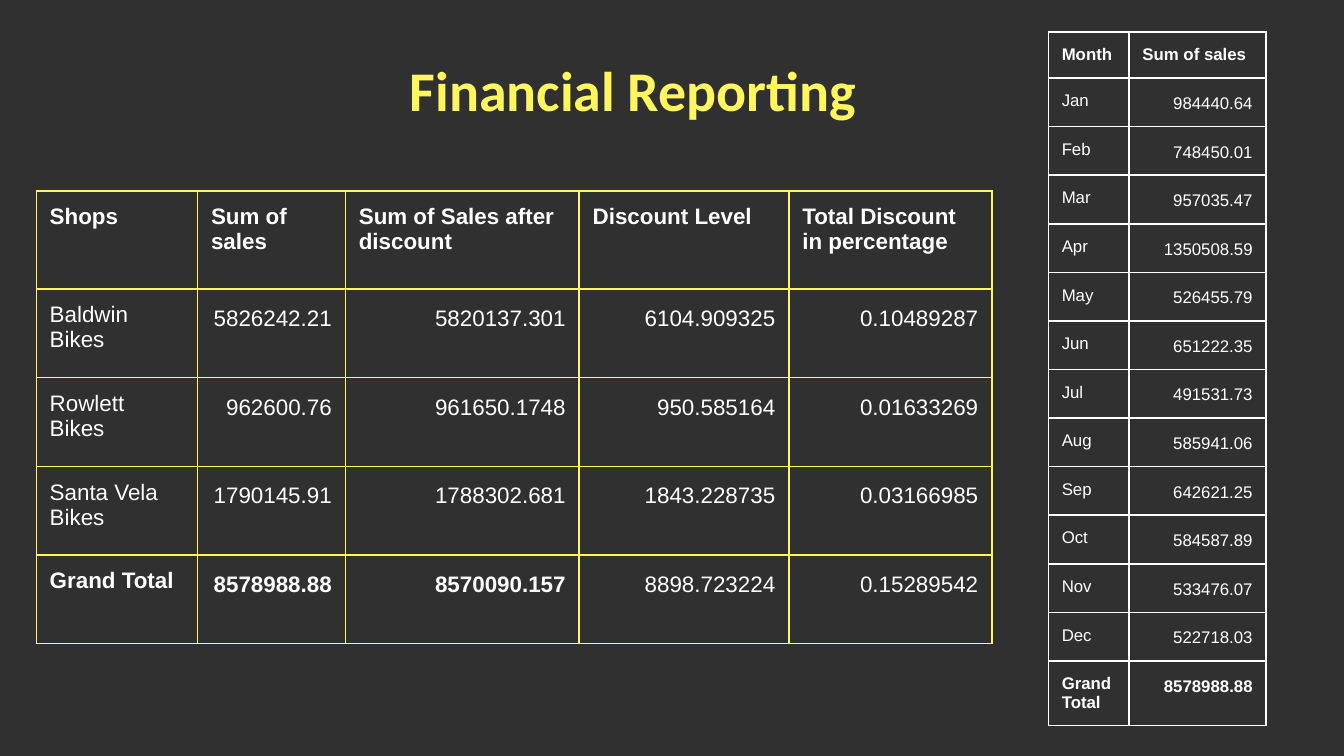
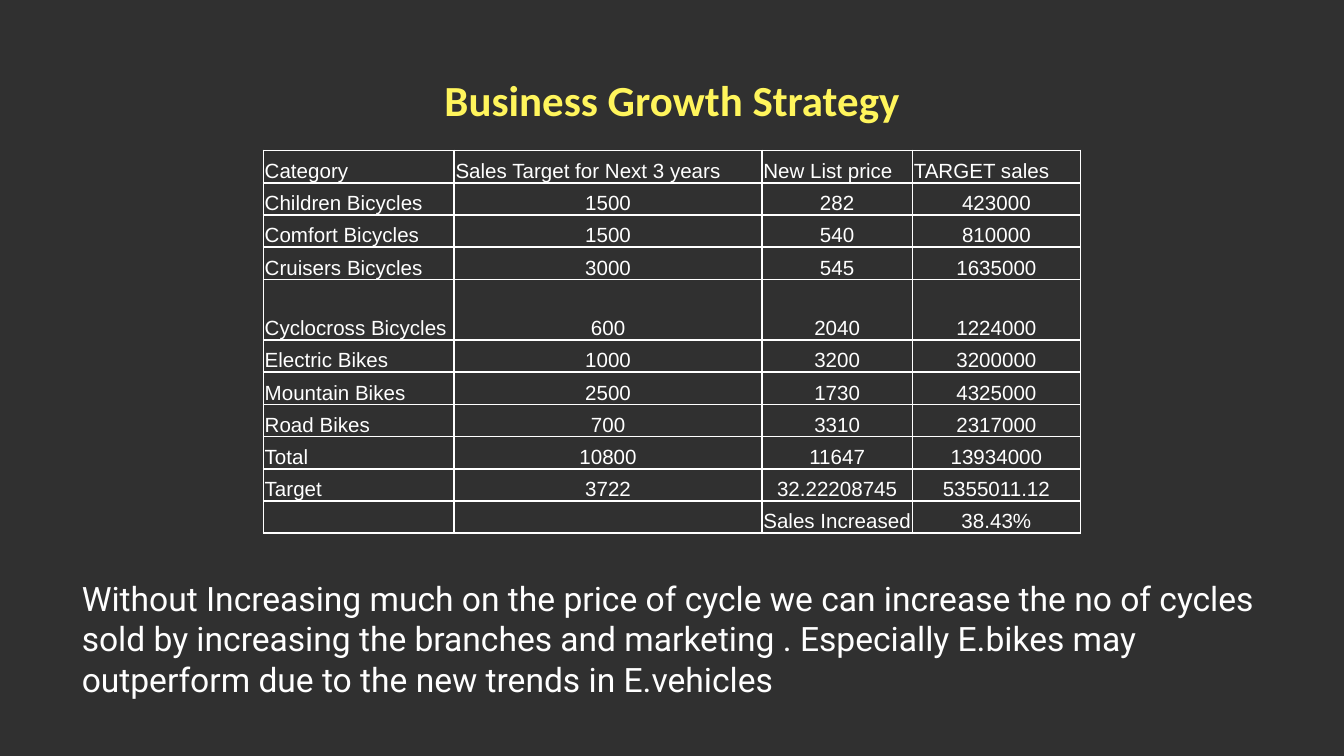
from lxml.etree import SubElement
from pptx import Presentation
from pptx.dml.color import RGBColor
from pptx.enum.text import MSO_ANCHOR, MSO_AUTO_SIZE, PP_ALIGN
from pptx.oxml.ns import qn
from pptx.util import Inches, Pt

CHARCOAL = RGBColor(0x30, 0x30, 0x30)
YELLOW = RGBColor(0xFF, 0xF5, 0x5C)
WHITE = RGBColor(0xFF, 0xFF, 0xFF)

SHOP_SALES = [
    ("Shops", "Sum of sales", "Sum of Sales after discount", "Discount Level",
     "Total Discount in percentage"),
    ("Baldwin Bikes", "5826242.21", "5820137.301", "6104.909325", "0.10489287"),
    ("Rowlett Bikes", "962600.76", "961650.1748", "950.585164", "0.01633269"),
    ("Santa Vela Bikes", "1790145.91", "1788302.681", "1843.228735", "0.03166985"),
    ("Grand Total", "8578988.88", "8570090.157", "8898.723224", "0.15289542"),
]
MONTHLY_SALES = [
    ("Month", "Sum of sales"),
    ("Jan", "984440.64"),
    ("Feb", "748450.01"),
    ("Mar", "957035.47"),
    ("Apr", "1350508.59"),
    ("May", "526455.79"),
    ("Jun", "651222.35"),
    ("Jul", "491531.73"),
    ("Aug", "585941.06"),
    ("Sep", "642621.25"),
    ("Oct", "584587.89"),
    ("Nov", "533476.07"),
    ("Dec", "522718.03"),
    ("Grand Total", "8578988.88"),
]
GROWTH_TARGETS = [
    ("Category", "Sales Target for Next 3 years", "New List price", "TARGET sales"),
    ("Children Bicycles", "1500", "282", "423000"),
    ("Comfort Bicycles", "1500", "540", "810000"),
    ("Cruisers Bicycles", "3000", "545", "1635000"),
    ("Cyclocross Bicycles", "600", "2040", "1224000"),
    ("Electric Bikes", "1000", "3200", "3200000"),
    ("Mountain Bikes", "2500", "1730", "4325000"),
    ("Road Bikes", "700", "3310", "2317000"),
    ("Total", "10800", "11647", "13934000"),
    ("Target", "3722", "32.22208745", "5355011.12"),
    ("", "", "Sales Increased", "38.43%"),
]
OUTLOOK = (
    "Without Increasing much on the price of cycle we can increase the no of cycles "
    "sold by increasing the branches and marketing . Especially E.bikes may "
    "outperform due to the new trends in E.vehicles"
)

SALES_STYLE = dict(align=PP_ALIGN.RIGHT, spacing=1.15, anchor=MSO_ANCHOR.TOP,
                   margins=(0.1, 0.1, 0.1, 0.1))
TARGET_STYLE = dict(align=PP_ALIGN.CENTER, spacing=1, anchor=MSO_ANCHOR.BOTTOM,
                    margins=(0.01, 0.01, 0.01, 0), fill=CHARCOAL)


def format_text(paragraph, font, size, color, bold=False):
    for run in paragraph.runs:
        run.font.name = font
        run.font.size = Pt(size)
        run.font.bold = bold
        run.font.color.rgb = color


def set_margins(target, margins):
    (target.margin_left, target.margin_top,
     target.margin_right, target.margin_bottom) = map(Inches, margins)


def add_titled_slide(prs, heading, box, size, spacing=1):
    slide = prs.slides.add_slide(prs.slide_layouts[5])
    title = slide.shapes.title
    title.left, title.top, title.width, title.height = map(Inches, box)
    frame = title.text_frame
    frame.text = heading
    frame.auto_size = MSO_AUTO_SIZE.NONE
    frame.word_wrap = True
    frame.vertical_anchor = MSO_ANCHOR.TOP
    set_margins(frame, (0.1, 0.1, 0.1, 0.1))
    paragraph = frame.paragraphs[0]
    paragraph.alignment = PP_ALIGN.CENTER
    paragraph.line_spacing = spacing
    format_text(paragraph, "Calibri", size, YELLOW, True)
    return slide


def draw_borders(cell, color):
    properties = cell._tc.get_or_add_tcPr()
    for side in ("a:lnL", "a:lnR", "a:lnT", "a:lnB"):
        line = SubElement(properties, qn(side), w=str(Pt(1)))
        solid = SubElement(line, qn("a:solidFill"))
        SubElement(solid, qn("a:srgbClr"), val=str(color))


def add_grid(slide, rows, left, top, widths, heights, size, border,
             align, spacing, anchor, margins, fill=None, bold_cells=()):
    table = slide.shapes.add_table(
        len(rows), len(widths), Inches(left), Inches(top),
        Inches(sum(widths)), Inches(sum(heights))).table
    table.first_row = table.horz_banding = False
    for column, width in zip(table.columns, widths):
        column.width = Inches(width)
    for row, height in zip(table.rows, heights):
        row.height = Inches(height)
    for r, values in enumerate(rows):
        for c, value in enumerate(values):
            cell = table.cell(r, c)
            cell.text = value
            cell.vertical_anchor = anchor
            set_margins(cell, margins)
            draw_borders(cell, border)
            if fill is None:
                cell.fill.background()
            else:
                cell.fill.solid()
                cell.fill.fore_color.rgb = fill
            paragraph = cell.text_frame.paragraphs[0]
            if r and c:
                paragraph.alignment = align
                paragraph.line_spacing = spacing
            format_text(paragraph, "Arial", size, WHITE, (r, c) in bold_cells)
            if not value:
                SubElement(paragraph._p, qn("a:endParaRPr"), sz=str(size * 100))


def bold_ends(rows, total_cells):
    header = {(0, c) for c in range(len(rows[0]))}
    return header | {(len(rows) - 1, c) for c in range(total_cells)}


def build_reporting(prs):
    slide = add_titled_slide(prs, "Financial Reporting", (2.04, 0.31, 5.34, 0.83), 30)
    add_grid(slide, SHOP_SALES, 0.27, 1.42, [1.2, 1.1, 1.74, 1.56, 1.51],
             [0.73] + [0.66] * 4, 12, YELLOW,
             bold_cells=bold_ends(SHOP_SALES, 3), **SALES_STYLE)
    add_grid(slide, MONTHLY_SALES, 7.8, 0.24, [0.6, 1.02],
             [0.33] + [0.34] * 12 + [0.47], 9, WHITE,
             bold_cells=bold_ends(MONTHLY_SALES, 2), **SALES_STYLE)


def build_strategy(prs):
    slide = add_titled_slide(prs, "Business Growth Strategy ",
                             (1.86, 0.39, 6.36, 0.83), 23, 1.15)
    outlook = slide.shapes.add_textbox(*map(Inches, (0.51, 4.2, 9.12, 1.03))).text_frame
    outlook.word_wrap = True
    set_margins(outlook, (0.1, 0.1, 0.1, 0.1))
    outlook.text = OUTLOOK
    format_text(outlook.paragraphs[0], "Roboto", 18, WHITE)
    heights = [0.45 if row[0] == "Cyclocross Bicycles" else 0.24 for row in GROWTH_TARGETS]
    add_grid(slide, GROWTH_TARGETS, 1.96, 1.12, [1.42, 2.29, 1.12, 1.25],
             heights, 11, WHITE, **TARGET_STYLE)


def main():
    prs = Presentation()
    prs.slide_width = Inches(10)
    prs.slide_height = prs.slide_width * 9 // 16
    background = prs.slide_master.background.fill
    background.solid()
    background.fore_color.rgb = CHARCOAL
    build_reporting(prs)
    build_strategy(prs)
    prs.save("out.pptx")


if __name__ == "__main__":
    main()
